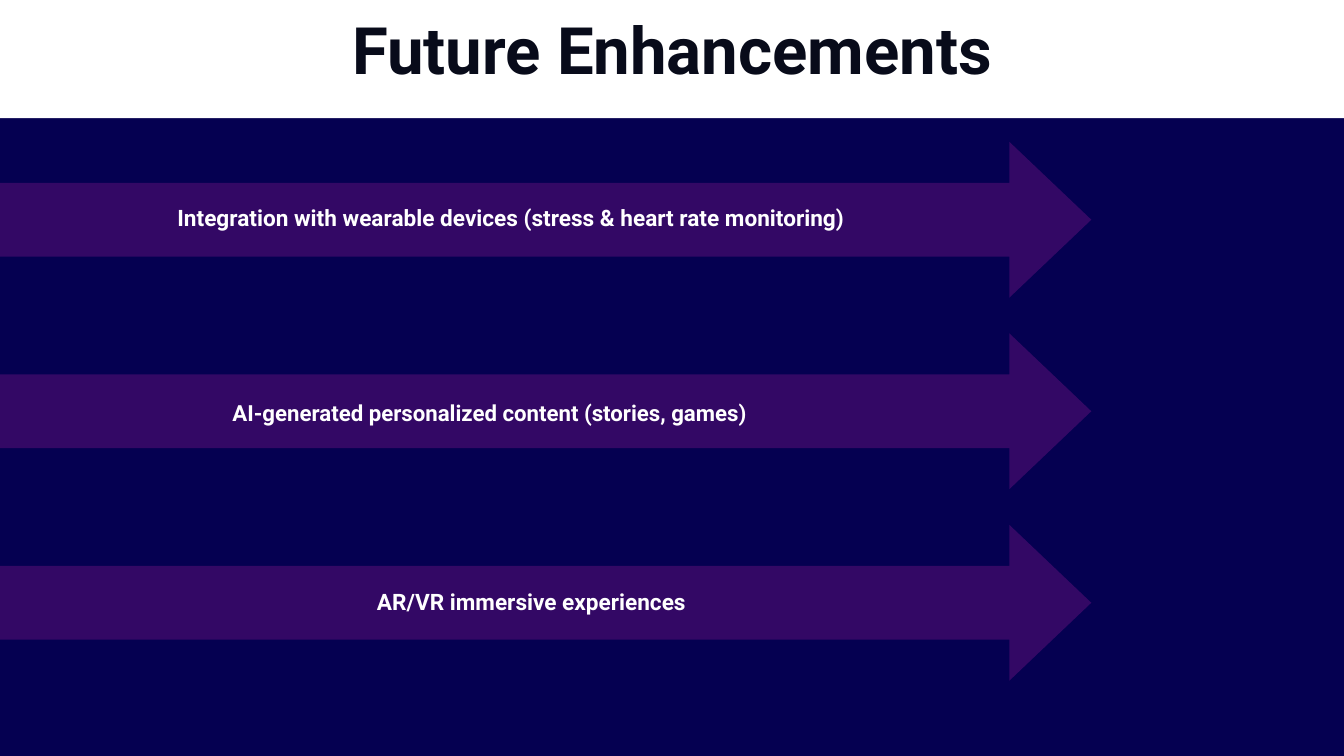
from dataclasses import dataclass

from pptx import Presentation
from pptx import util as u
from pptx.dml.color import RGBColor
from pptx.enum import shapes, text


@dataclass(frozen=True)
class Theme:
    font: str = "Roboto"
    background: str = "050051"
    banner: str = "FFFFFF"
    arrow: str = "330865"
    title: str = "080B1A"
    label: str = "FFFFFF"
    title_size: float = 70
    title_leading: float = 84
    label_leading: float = 29


THEME = Theme()
WIDTH, HEIGHT = 20, 11.25
BANNER_HEIGHT = 1.76
FIRST_ROW, ROW_PITCH = 2.11, 2.85
ARROW_WIDTH, ARROW_HEIGHT = 16.24, 2.32
SHAFT_HEIGHT, HEAD_LENGTH = 1.1, 1.22

# Wording, left edge, offset below the arrow's top, width, type size
ENHANCEMENTS = [
    ("Integration with wearable devices (stress & heart rate monitoring)",
     2.64, 0.92, 13.18, 24.2),
    ("AI-generated personalized content (stories, games)",
     3.46, 0.97, 10.9, 23.8),
    ("AR/VR immersive experiences", 5.61, 0.94, 9.16, 24.2),
]


def inches(*lengths):
    return [u.Inches(length) for length in lengths]


def add_block(s, kind, box, color):
    sp = s.shapes.add_shape(kind, *inches(*box))
    sp.shadow.inherit = False
    sp.fill.solid()
    sp.fill.fore_color.rgb = RGBColor.from_string(color)
    sp.line.fill.background()
    return sp


def set_text(sp, words, size, color, leading, align, inset=0):
    tf = sp.text_frame
    tf.word_wrap = True
    tf.auto_size = text.MSO_AUTO_SIZE.NONE
    tf.margin_left = tf.margin_right = u.Inches(inset)
    tf.margin_top = tf.margin_bottom = u.Inches(inset)
    p = tf.paragraphs[0]
    p.text = words
    p.alignment = align
    p.line_spacing = u.Pt(leading)
    p.font.name = THEME.font
    p.font.size = u.Pt(size)
    p.font.bold = True
    p.font.color.rgb = RGBColor.from_string(color)
    return tf


def add_title(s, words):
    banner = add_block(s, shapes.MSO_SHAPE.RECTANGLE,
                       (0, 0, WIDTH, BANNER_HEIGHT), THEME.banner)
    title = s.shapes.title
    title.left, title.top, title.width, title.height = inches(
        0, -0.32, WIDTH, 2.07)
    tf = set_text(title, words, THEME.title_size, THEME.title,
                  THEME.title_leading, text.PP_ALIGN.CENTER, inset=0.06)
    tf.vertical_anchor = text.MSO_ANCHOR.MIDDLE
    banner.element.addnext(title.element)  # title in front of its banner


def add_arrow(s, top):
    sp = add_block(s, shapes.MSO_SHAPE.RIGHT_ARROW,
                   (0, top, ARROW_WIDTH, ARROW_HEIGHT), THEME.arrow)
    sp.adjustments[0] = SHAFT_HEIGHT / ARROW_HEIGHT
    sp.adjustments[1] = HEAD_LENGTH / ARROW_HEIGHT


def add_label(s, words, left, top, width, size):
    sp = s.shapes.add_textbox(*inches(left, top, width, 0.44))
    set_text(sp, words, size, THEME.label, THEME.label_leading,
             text.PP_ALIGN.LEFT)


def main():
    prs = Presentation()
    prs.slide_width, prs.slide_height = inches(WIDTH, HEIGHT)
    s = prs.slides.add_slide(prs.slide_layouts[5])
    s.background.fill.solid()
    s.background.fill.fore_color.rgb = RGBColor.from_string(THEME.background)

    add_title(s, "Future Enhancements")
    for row, (words, left, offset, width, size) in enumerate(ENHANCEMENTS):
        top = FIRST_ROW + row * ROW_PITCH
        add_arrow(s, top)
        add_label(s, words, left, top + offset, width, size)

    prs.save("out.pptx")


if __name__ == "__main__":
    main()
